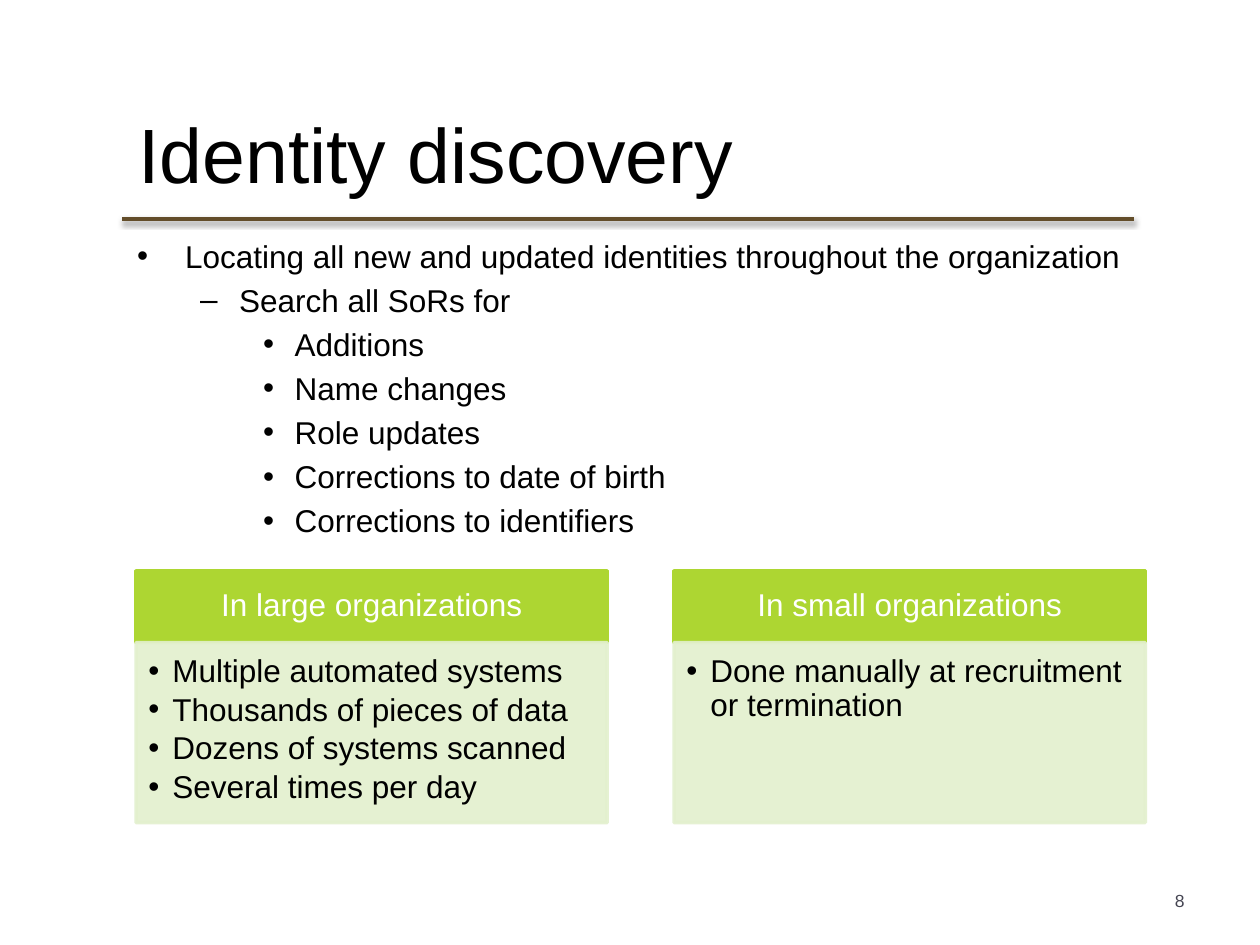
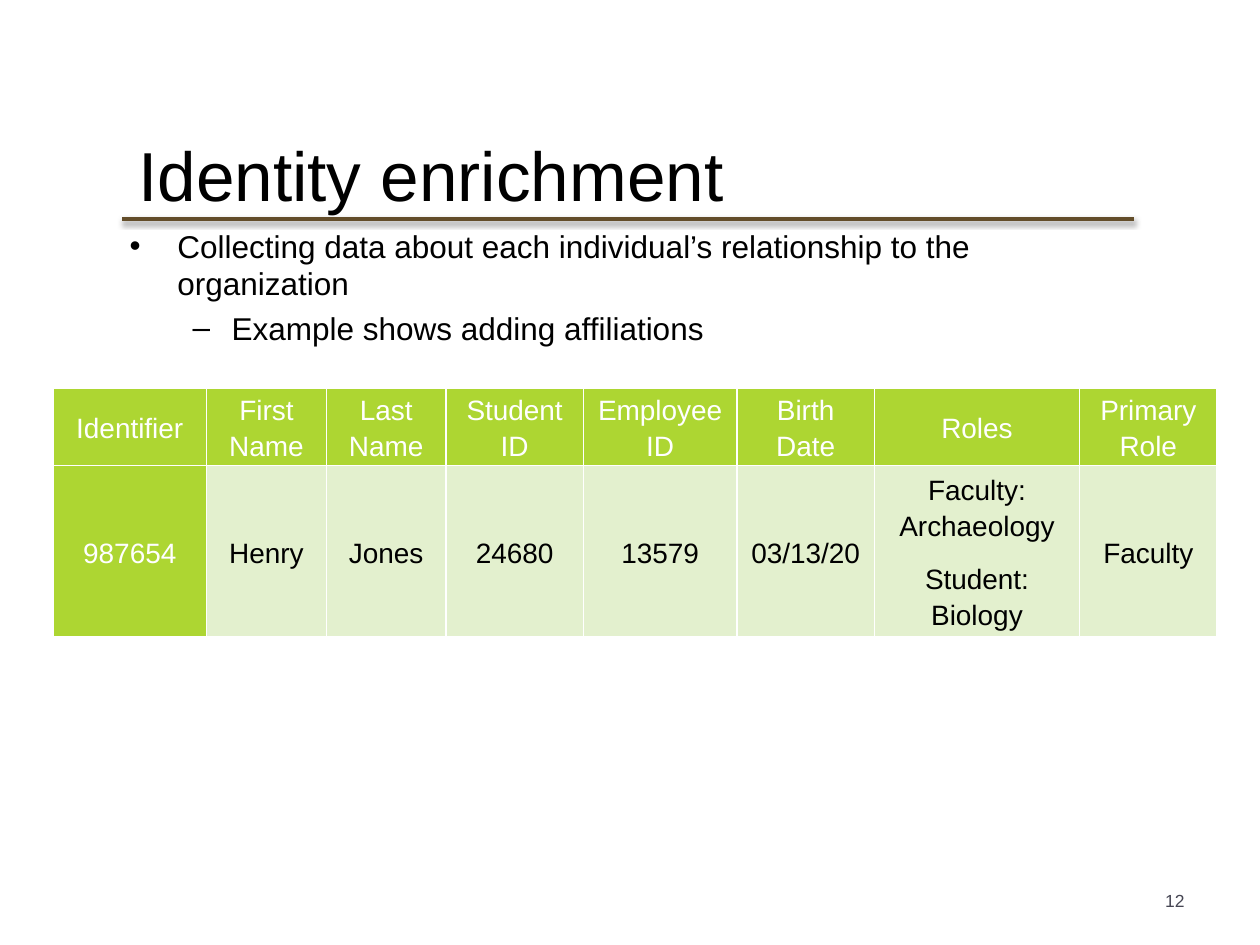
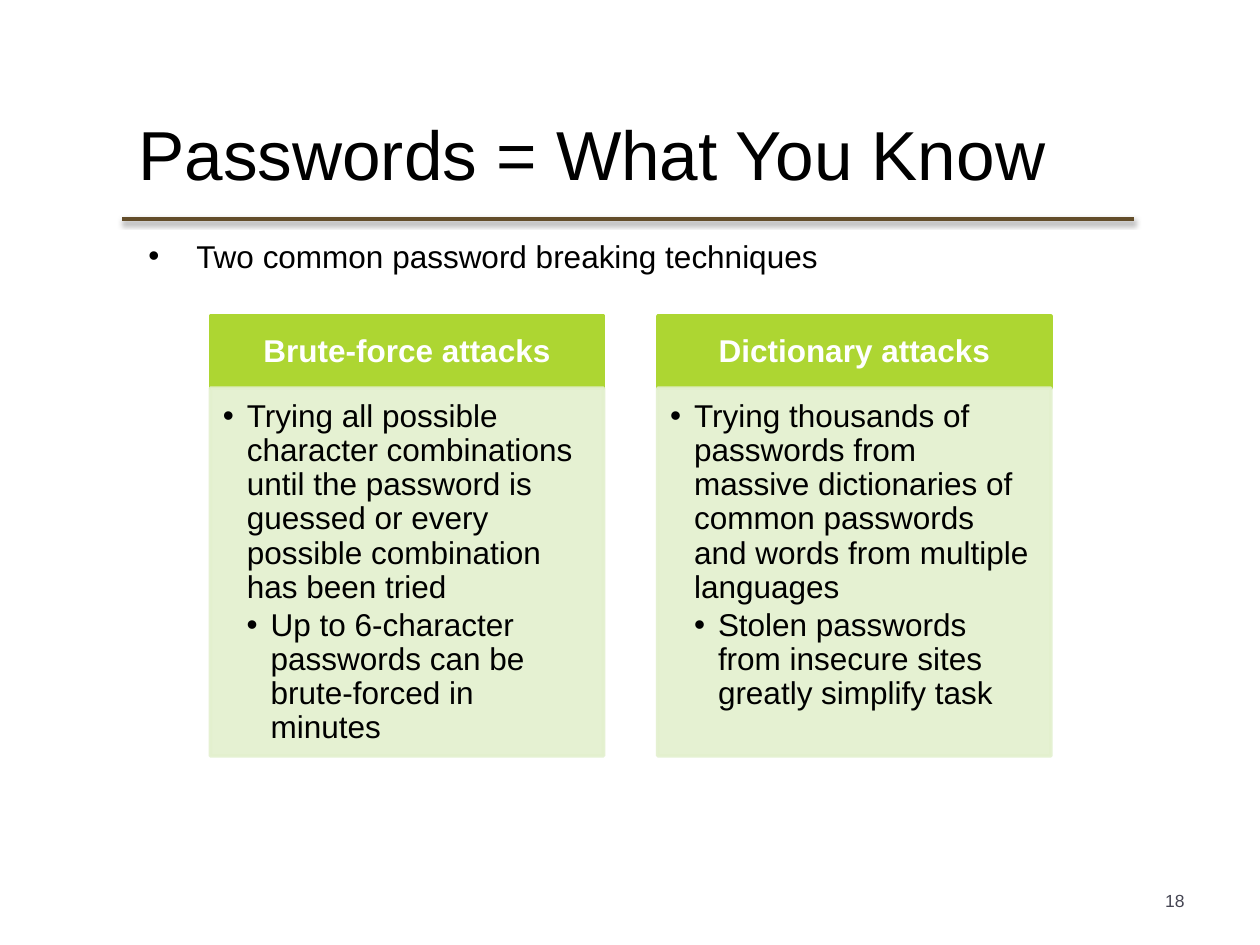
from dataclasses import dataclass

from lxml.etree import SubElement
from pptx import Presentation
from pptx.dml.color import RGBColor
from pptx.enum.shapes import MSO_CONNECTOR, MSO_SHAPE
from pptx.enum.text import MSO_ANCHOR, PP_ALIGN
from pptx.oxml.ns import qn
from pptx.util import Inches, Pt


@dataclass(frozen=True)
class Theme:
    font: str = "Arial"
    ink: str = "000000"
    paper: str = "FFFFFF"
    rule: str = "634D2A"
    number: str = "464653"
    accent: str = "ADD632"
    tint: str = "E3F0CE"
    text_size: float = 18
    table_size: float = 16
    number_size: float = 10


THEME = Theme()

# Content: body and card lines are (level, text)
DISCOVERY = {
    "number": 8,
    "title": ("Identity discovery", 44, (1, 0.67, 8.08, 1.08)),
    "body_box": (0.99, 1.83, 8.01, 5.4),
    "body": [
        (0, "Locating all new and updated identities throughout the organization"),
        (1, "Search all SoRs for"),
        (2, "Additions"),
        (2, "Name changes"),
        (2, "Role updates"),
        (2, "Corrections to date of birth"),
        (2, "Corrections to identifiers"),
    ],
    "cards": {
        "left": 1.08, "top": 4.53, "width": 3.74, "gap": 0.53,
        "list_height": 1.43, "bold": False,
        "items": [
            ("In large organizations", [
                (0, "Multiple automated systems"),
                (0, "Thousands of pieces of data"),
                (0, "Dozens of systems scanned"),
                (0, "Several times per day"),
            ]),
            ("In small organizations", [
                (0, "Done manually at recruitment or termination"),
            ]),
        ],
    },
}

ENRICHMENT = {
    "number": 12,
    "title": ("Identity enrichment", 39.6, (1, 1, 8.92, 0.75)),
    "body_box": (0.93, 1.75, 8.07, 5.4),
    "body": [
        (0, "Collecting data about each individual’s relationship to the organization"),
        (1, "Example shows adding affiliations"),
    ],
    "table": {
        "left": 0.42, "top": 3.08, "row_heights": (0.57, 1.27),
        # heading, column width, lines of the record
        "columns": [
            ("Identifier", 1.22, ["987654"]),
            ("First Name", 0.95, ["Henry"]),
            ("Last Name", 0.95, ["Jones"]),
            ("Student ID", 1.09, ["24680"]),
            ("Employee ID", 1.22, ["13579"]),
            ("Birth Date", 1.09, ["03/13/20"]),
            ("Roles", 1.63, ["Faculty: Archaeology", "Student: Biology"]),
            ("Primary Role", 1.09, ["Faculty"]),
        ],
    },
}

PASSWORDS = {
    "number": 18,
    "title": ("Passwords = What You Know", 39.6, (1, 0.67, 7.92, 1.08)),
    "body_box": (1.08, 1.83, 8.17, 4.9),
    "body": [(0, "Two common password breaking techniques")],
    "cards": {
        "left": 1.67, "top": 2.51, "width": 3.12, "gap": 0.43,
        "list_height": 2.92, "bold": True,
        "items": [
            ("Brute-force attacks", [
                (0, "Trying all possible character combinations until the password "
                    "is guessed or every possible combination has been tried"),
                (1, "Up to 6-character passwords can be brute-forced in minutes"),
            ]),
            ("Dictionary attacks", [
                (0, "Trying thousands of passwords from massive dictionaries of "
                    "common passwords and words from multiple languages"),
                (1, "Stolen passwords from insecure sites greatly simplify task"),
            ]),
        ],
    },
}

# Bullets per level: text indent, hanging width, character
BODY_BULLETS = [(0.38, 0.38, "•"), (0.81, 0.31, "–"), (1.25, 0.25, "•")]
CARD_BULLETS = [(0.19, 0.19, "•"), (0.38, 0.19, "•")]
CARD_HEAD_HEIGHT = 0.57


def rgb(color):
    return RGBColor.from_string(color)


def inches(values):
    return [Inches(value) for value in values]


def apply(target, formats):
    for name, value in formats.items():
        setattr(target, name, value)


def add_bullet(paragraph, indent, hang, char):
    properties = paragraph._p.get_or_add_pPr()
    properties.set("marL", str(Inches(indent)))
    properties.set("indent", str(-Inches(hang)))
    SubElement(properties, qn("a:buFont"), typeface=THEME.font)
    SubElement(properties, qn("a:buChar"), char=char)


def write(frame, lines, size, color=THEME.ink, bold=False, bullets=None,
          anchor=MSO_ANCHOR.TOP, margins=(0.1, 0.05, 0.1, 0.05), before=0, **formats):
    """Fill a text frame with (level, text) lines in one style."""
    sides = ("margin_left", "margin_top", "margin_right", "margin_bottom")
    apply(frame, {"word_wrap": True, "vertical_anchor": anchor,
                  **dict(zip(sides, inches(margins)))})
    for index, (level, text) in enumerate(lines):
        paragraph = frame.add_paragraph() if index else frame.paragraphs[0]
        apply(paragraph, {"alignment": PP_ALIGN.LEFT, **formats})
        if index and before:
            paragraph.space_before = Pt(before)
        if bullets:
            add_bullet(paragraph, *bullets[level])
        run = paragraph.add_run()
        run.text = text
        apply(run.font, {"name": THEME.font, "size": Pt(size), "bold": bold})
        run.font.color.rgb = rgb(color)


def add_text(slide, box, lines, size, **style):
    frame = slide.shapes.add_textbox(*inches(box)).text_frame
    write(frame, lines, size, **style)


def add_title_rule(slide):
    rule = slide.shapes.add_connector(
        MSO_CONNECTOR.STRAIGHT, *inches((0.97, 1.74, 9, 1.74)))
    rule.line.color.rgb = rgb(THEME.rule)
    rule.line.width = Pt(2)
    effects = SubElement(rule._element.spPr, qn("a:effectLst"))
    shadow = SubElement(effects, qn("a:outerShdw"), blurRad=str(Pt(3.1)),
                        dist=str(Pt(1.6)), dir="5400000", rotWithShape="0")
    shade = SubElement(shadow, qn("a:srgbClr"), val=THEME.ink)
    SubElement(shade, qn("a:alpha"), val="38000")


def add_panel(slide, box, color, opacity=100):
    panel = slide.shapes.add_shape(MSO_SHAPE.RECTANGLE, *inches(box))
    panel.shadow.inherit = False
    panel.fill.solid()
    panel.fill.fore_color.rgb = rgb(color)
    panel.line.color.rgb = rgb(color)
    panel.line.width = Pt(2)
    if opacity < 100:
        for shade in panel._element.spPr.iter(qn("a:srgbClr")):
            SubElement(shade, qn("a:alpha"), val=str(opacity * 1000))
    return panel.text_frame


def add_cards(slide, cards):
    top, width = cards["top"], cards["width"]
    for index, (heading, points) in enumerate(cards["items"]):
        left = cards["left"] + index * (width + cards["gap"])
        head = add_panel(slide, (left, top, width, CARD_HEAD_HEIGHT), THEME.accent)
        write(head, [(0, heading)], THEME.text_size, color=THEME.paper,
              bold=cards["bold"], anchor=MSO_ANCHOR.MIDDLE,
              margins=(0.14, 0.08, 0.14, 0.08),
              alignment=PP_ALIGN.CENTER, line_spacing=0.9)
        points_box = (left, top + CARD_HEAD_HEIGHT, width, cards["list_height"])
        write(add_panel(slide, points_box, THEME.tint, opacity=90), points,
              THEME.text_size, bullets=CARD_BULLETS, margins=(0.1, 0.1, 0.14, 0.16),
              line_spacing=0.9, space_after=Pt(2.7))


def add_borders(cell):
    properties = cell._tc.get_or_add_tcPr()
    for position, side in enumerate(("a:lnL", "a:lnR", "a:lnT", "a:lnB")):
        border = properties.makeelement(qn(side), {"w": str(Pt(1))})
        properties.insert(position, border)
        SubElement(SubElement(border, qn("a:solidFill")), qn("a:srgbClr"),
                   val=THEME.paper)


def add_record_table(slide, record):
    columns, heights = record["columns"], record["row_heights"]
    total_width = sum(width for _, width, _ in columns)
    table = slide.shapes.add_table(
        len(heights), len(columns),
        *inches((record["left"], record["top"], total_width, sum(heights)))).table
    apply(table, {"first_row": False, "horz_banding": False})
    for row, height in zip(table.rows, heights):
        row.height = Inches(height)
    for column, (heading, width, values) in enumerate(columns):
        table.columns[column].width = Inches(width)
        for row, texts in enumerate(([heading], values)):
            cell = table.cell(row, column)
            is_heading = row == 0 or column == 0
            write(cell.text_frame, [(0, text) for text in texts], THEME.table_size,
                  color=THEME.paper if is_heading else THEME.ink,
                  alignment=PP_ALIGN.CENTER, line_spacing=1.15, space_after=Pt(10))
            apply(cell, {"vertical_anchor": MSO_ANCHOR.MIDDLE,
                         "margin_left": Inches(0.08), "margin_right": Inches(0.08),
                         "margin_top": 0, "margin_bottom": 0})
            cell.fill.solid()
            cell.fill.fore_color.rgb = rgb(THEME.accent if is_heading else THEME.tint)
            add_borders(cell)


def build_slide(deck, content):
    slide = deck.slides.add_slide(deck.slide_layouts[6])
    # Shared frame: rule, page number, title
    add_title_rule(slide)
    add_text(slide, (7.17, 6.95, 2.33, 0.4), [(0, str(content["number"]))],
             THEME.number_size, color=THEME.number, anchor=MSO_ANCHOR.MIDDLE,
             alignment=PP_ALIGN.RIGHT)
    title, size, box = content["title"]
    add_text(slide, box, [(0, title)], size, anchor=MSO_ANCHOR.MIDDLE)
    # Body and its details
    add_text(slide, content["body_box"], content["body"], THEME.text_size,
             bullets=BODY_BULLETS, before=3.6)
    if "cards" in content:
        add_cards(slide, content["cards"])
    if "table" in content:
        add_record_table(slide, content["table"])


def main():
    deck = Presentation()
    deck.slide_width, deck.slide_height = inches((10, 7.5))
    for content in (DISCOVERY, ENRICHMENT, PASSWORDS):
        build_slide(deck, content)
    deck.save("out.pptx")


if __name__ == "__main__":
    main()
